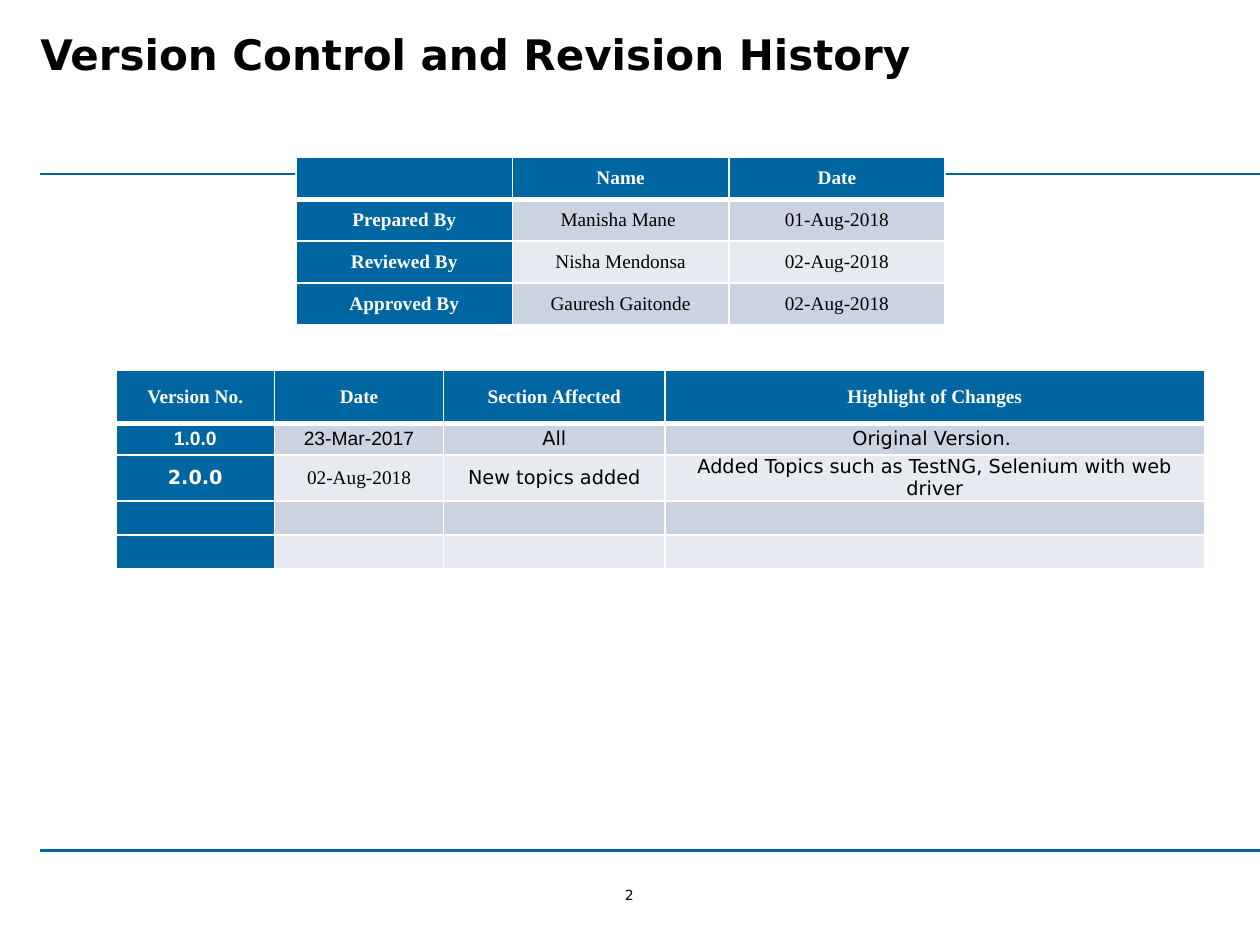
"""Builds the version control and revision history slide."""
from dataclasses import dataclass

from lxml import etree
from pptx import Presentation
from pptx.dml.color import RGBColor
from pptx.enum.shapes import MSO_CONNECTOR
from pptx.enum.text import MSO_ANCHOR, PP_ALIGN
from pptx.oxml.ns import qn
from pptx.util import Inches, Pt

STRAIGHT = MSO_CONNECTOR.STRAIGHT
TOP, MIDDLE = MSO_ANCHOR.TOP, MSO_ANCHOR.MIDDLE
LEFT, CENTER = PP_ALIGN.LEFT, PP_ALIGN.CENTER
WIDTH, HEIGHT = Inches(10), Inches(7.5)
BLUE, WHITE, BLACK = "0066A1", "FFFFFF", "000000"
BANDS = ("CCD3E0", "E7EAF0")
SANS, SERIF, ARIAL = "DejaVu Sans", "Times New Roman", "Arial"


@dataclass
class TextBox:
    """A text box placed by percentages of the slide's size."""
    text: str
    place: tuple
    size: int
    bold: bool
    align: int
    anchor: int
    wrap: bool
    inset: float


@dataclass
class Grid:
    """A table placed by percentages of the slide's size."""
    left: float
    top: float
    columns: tuple
    rows: tuple
    texts: tuple
    fonts: tuple
    body_inset: tuple


RULES = (18.4, 90)
BOXES = (
    TextBox("2", (49, 93.87, 1.9, 1.73), 8, False, CENTER, MIDDLE, False, 0),
    TextBox("Version Control and Revision History", (3.2, 2.4, 94.9, 14),
            24, True, LEFT, TOP, True, 0.05),
)
GRIDS = (
    Grid(23.5, 16.67, (17.17,) * 3, (4.43,) * 4,
         (("", "Name", "Date"),
          ("Prepared By", "Manisha Mane ", "01-Aug-2018"),
          ("Reviewed By", "Nisha Mendonsa", "02-Aug-2018"),
          ("Approved By", "Gauresh Gaitonde", "02-Aug-2018")),
         ((SERIF,) * 3,) * 4, (0.06, 0.03)),
    Grid(9.2, 39.2, (12.6, 13.4, 17.6, 42.8), (5.6, 3.33, 3.6, 3.6, 3.6),
         (("Version No.", "Date", "Section Affected", "Highlight of Changes"),
          ("1.0.0", "23-Mar-2017", "All", "Original Version. "),
          ("2.0.0", "02-Aug-2018", "New topics added",
           "Added Topics such as TestNG, Selenium with web driver"),
          ("",) * 4, ("",) * 4),
         ((SERIF,) * 4, (ARIAL, ARIAL, SANS, SANS), (SANS, SERIF, SANS, SANS),
          (SERIF,) * 4, (SERIF,) * 4), (0.04, 0)),
)


def color(value: str) -> RGBColor:
    """Turn a hex string into a colour."""
    return RGBColor.from_string(value)


def across(percent: float) -> int:
    """Give a share of the slide's width."""
    return round(WIDTH * percent / 100)


def down(percent: float) -> int:
    """Give a share of the slide's height."""
    return round(HEIGHT * percent / 100)


def apply(target, values: dict) -> None:
    """Set each named attribute on the target."""
    for name, value in values.items():
        setattr(target, name, value)


def write(para, text: str, align: int, tint: str, font: dict) -> None:
    """Write one formatted run, or only a size when there is no text."""
    para.alignment = align
    if text:
        span = para.add_run()
        span.text = text
        apply(span.font, font)
        span.font.color.rgb = color(tint)
    else:
        points = round(font["size"].pt * 100)
        etree.SubElement(para._p, qn("a:endParaRPr"), sz=str(points))


def draw_rule(page, level: float) -> None:
    """Draw a horizontal rule from the margin to the right edge."""
    rule = page.shapes.add_connector(STRAIGHT, across(3.2), down(level), WIDTH, down(level))
    rule.line.color.rgb = color(BLUE)
    rule.line.width = Pt(1.25)
    etree.SubElement(rule._element.spPr, qn("a:effectLst"))


def draw_box(page, item: TextBox) -> None:
    """Draw a text box."""
    left, top, width, height = item.place
    box = page.shapes.add_textbox(across(left), down(top), across(width), down(height))
    apply(box.text_frame, {
        "word_wrap": item.wrap, "vertical_anchor": item.anchor,
        "margin_left": 0, "margin_right": 0,
        "margin_top": Inches(item.inset), "margin_bottom": Inches(item.inset)})
    write(box.text_frame.paragraphs[0], item.text, item.align, BLACK,
          {"name": SANS, "size": Pt(item.size), "bold": item.bold})


def draw_borders(cell, bottom: float) -> None:
    """Give a cell white borders, placed ahead of its fill."""
    properties = cell._tc.get_or_add_tcPr()
    widths = {"a:lnL": 1, "a:lnR": 1, "a:lnT": 1, "a:lnB": bottom}
    for position, (tag, width) in enumerate(widths.items()):
        line = etree.Element(qn(tag), w=str(Pt(width)))
        fill = etree.SubElement(line, qn("a:solidFill"))
        etree.SubElement(fill, qn("a:srgbClr"), val=WHITE)
        properties.insert(position, line)


def draw_cell(cell, grid: Grid, row: int, column: int) -> None:
    """Fill, border and write one table cell."""
    heading = row == 0 or column == 0
    side, edge = grid.body_inset if row else (0.06, 0.03)
    apply(cell, {
        "vertical_anchor": MIDDLE,
        "margin_left": Inches(side), "margin_right": Inches(side),
        "margin_top": Inches(edge), "margin_bottom": Inches(edge)})
    cell.fill.solid()
    cell.fill.fore_color.rgb = color(BLUE if heading else BANDS[(row - 1) % 2])
    draw_borders(cell, 1 if row else 3)
    write(cell.text_frame.paragraphs[0], grid.texts[row][column], CENTER,
          WHITE if heading else BLACK,
          {"name": grid.fonts[row][column], "size": Pt(11), "bold": heading})


def draw_grid(page, grid: Grid) -> None:
    """Draw a table with a heading row and a heading column."""
    frame = page.shapes.add_table(
        len(grid.rows), len(grid.columns), across(grid.left), down(grid.top),
        across(sum(grid.columns)), down(sum(grid.rows)))
    table = frame.table
    table.first_col = True
    for column, share in zip(table.columns, grid.columns):
        column.width = across(share)
    for row, share in zip(table.rows, grid.rows):
        row.height = down(share)
    for row in range(len(grid.rows)):
        for column in range(len(grid.columns)):
            draw_cell(table.cell(row, column), grid, row, column)


def main() -> None:
    """Build and save the deck."""
    deck = Presentation()
    apply(deck, {"slide_width": WIDTH, "slide_height": HEIGHT})
    page = deck.slides.add_slide(deck.slide_layouts[6])
    for level in RULES:
        draw_rule(page, level)
    for item in BOXES:
        draw_box(page, item)
    for grid in GRIDS:
        draw_grid(page, grid)
    deck.save("out.pptx")


if __name__ == "__main__":
    main()
